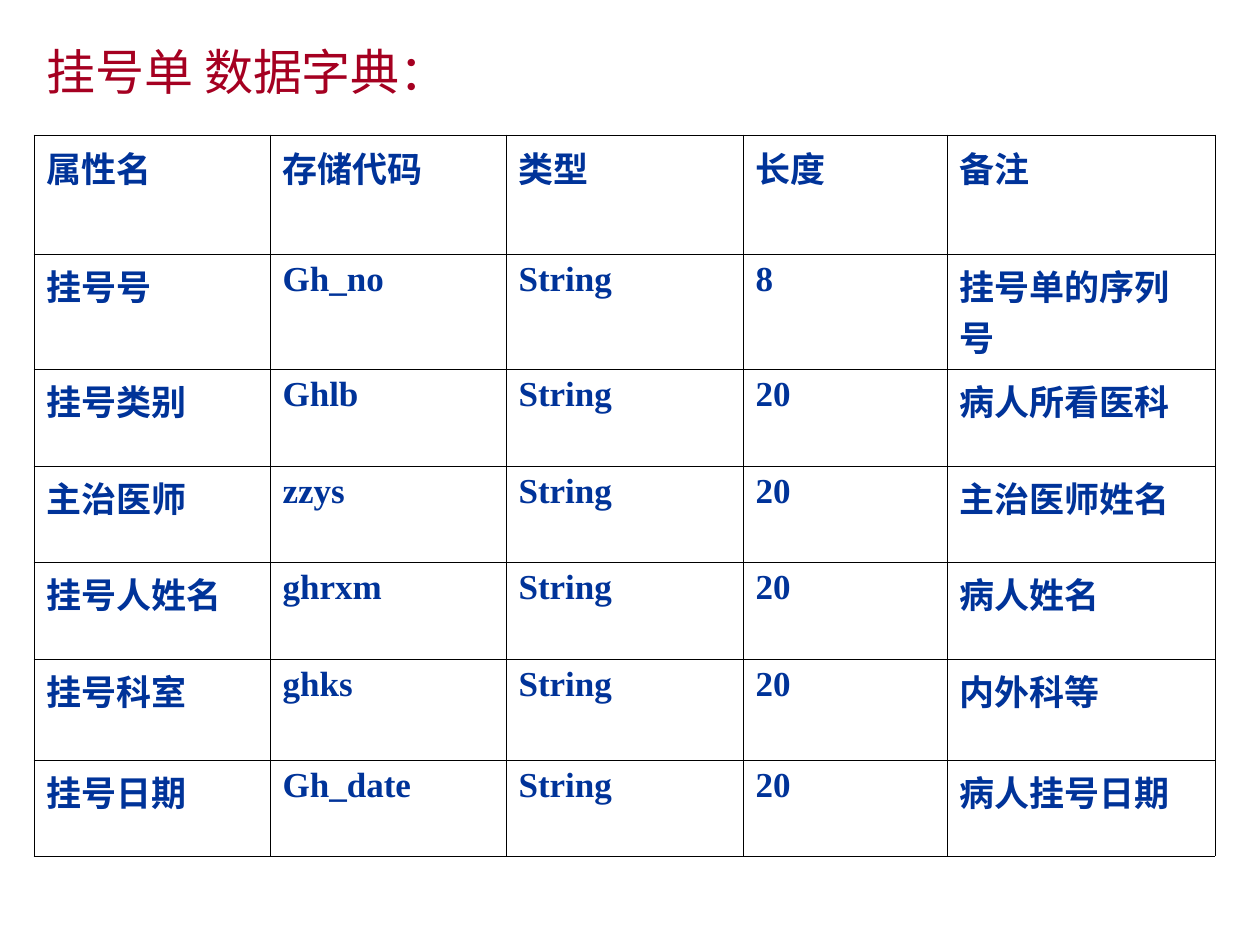
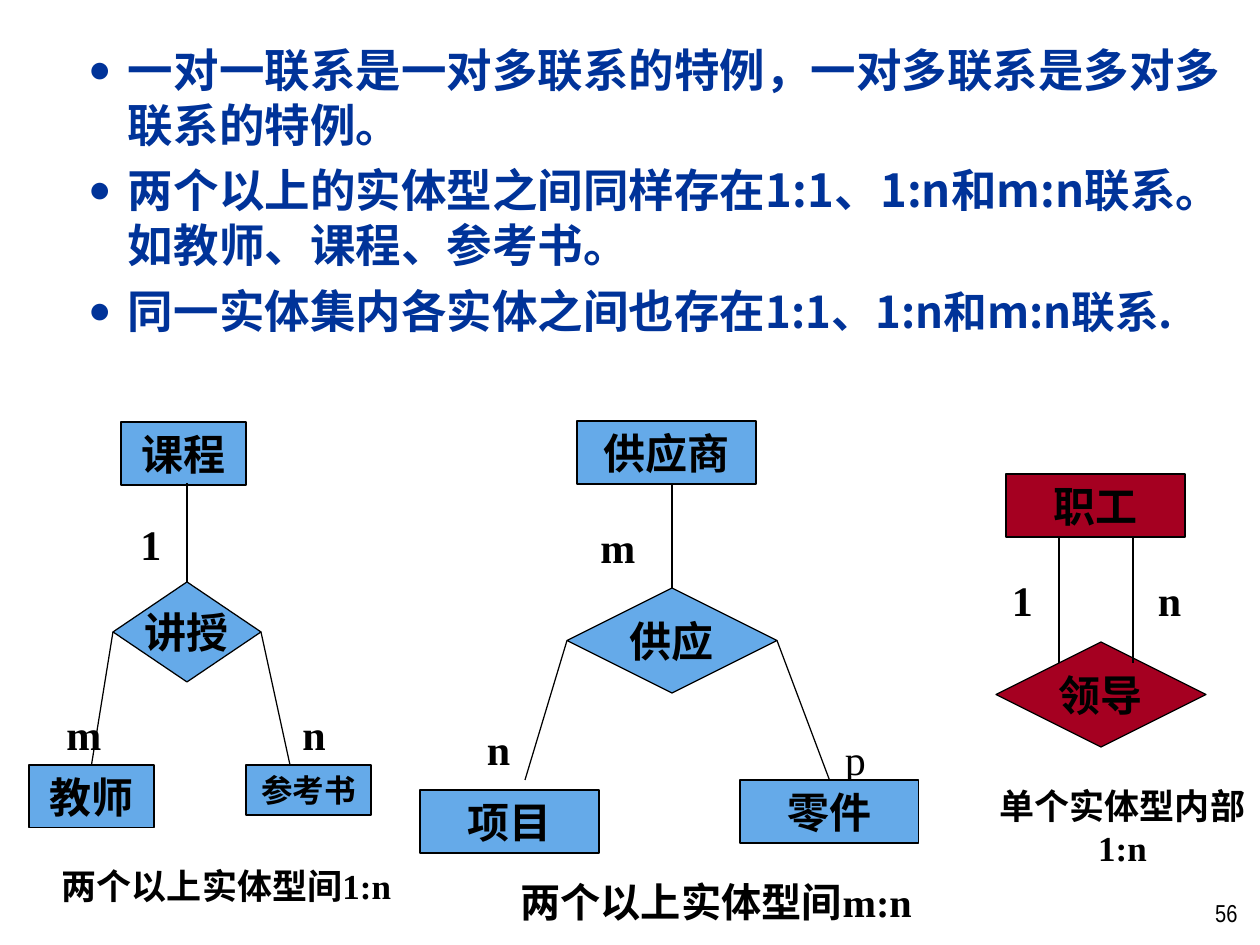
from lxml import etree
from pptx import Presentation
from pptx.dml.color import RGBColor
from pptx.enum.shapes import MSO_CONNECTOR, MSO_SHAPE
from pptx.enum.text import MSO_ANCHOR, PP_ALIGN
from pptx.oxml.ns import qn
from pptx.util import Emu, Pt

PX = 914400 / 126
BLUE, RED, SKY, BLACK = "003399", "A50021", "65AAE9", "000000"
SERIF, SANS, NARROW = "Times New Roman", "Noto Sans CJK SC", "Arial Narrow"
OUTLINE = Pt(0.7)
RECTANGLE, DIAMOND = MSO_SHAPE.RECTANGLE, MSO_SHAPE.DIAMOND
STRAIGHT = MSO_CONNECTOR.STRAIGHT
LEFT, CENTER, RIGHT = PP_ALIGN.LEFT, PP_ALIGN.CENTER, PP_ALIGN.RIGHT
TOP, MIDDLE = MSO_ANCHOR.TOP, MSO_ANCHOR.MIDDLE
SITE_TOP, SITE_LEFT, SITE_RIGHT = 0, 1, 3

TITLE = "挂号单 数据字典："
COLUMN_WIDTHS = [236, 236, 237, 204, 268]
ROW_HEIGHTS = [119, 115, 97, 96, 97, 101, 96]
DICTIONARY = [
    ("属性名", "存储代码", "类型", "长度", "备注"),
    ("挂号号", "Gh_no", "String", "8", "挂号单的序列号"),
    ("挂号类别", "Ghlb", "String", "20", "病人所看医科"),
    ("主治医师", "zzys", "String", "20", "主治医师姓名"),
    ("挂号人姓名", "ghrxm", "String", "20", "病人姓名"),
    ("挂号科室", "ghks", "String", "20", "内外科等"),
    ("挂号日期", "Gh_date", "String", "20", "病人挂号日期"),
]

# Each point is a list of (text, size) runs.
POINTS = [
    [("一对一联系是一对多联系的特例，一对多联系是多对多联系的特例。", 26)],
    [("两个以上的实体型之间同样存在1:1、1:n和m:n联系。如教师、课程、参考书。", 26)],
    [("同一实体集内各实体之间也存在", 26), ("1:1、1:n和m:n联系.", 25)],
]

# Boxes are (left, top, width, height).
# Lines are (start, end); each is a point or a (node, connection site) pair.
DIAGRAMS = [
    {
        "fill": SKY,
        "caption": ("两个以上实体型间1:n", (28, 858, 397, 55), 20),
        "labels": [("1", (128, 512, 37, 63)), ("m", (54, 702, 37, 63)),
                   ("n", (290, 702, 37, 63))],
        "entities": [("课程", (121, 422, 125, 63), 24), ("教师", (29, 765, 125, 63), 24),
                     ("参考书", (246, 765, 125, 50), 18)],
        "relation": ("讲授", (113, 582, 148, 100)),
        "lines": [(("讲授", SITE_TOP), (187, 483)),
                  (("讲授", SITE_LEFT), ("教师", SITE_TOP)),
                  (("讲授", SITE_RIGHT), (290, 765))],
    },
    {
        "fill": SKY,
        "caption": ("两个以上实体型间m:n", (428, 871, 576, 62), 23),
        "labels": [("m", (588, 515, 53, 63)), ("p", (829, 727, 53, 63)),
                   ("n", (472, 717, 53, 63))],
        "entities": [("供应商", (577, 421, 179, 63), 24), ("项目", (420, 790, 179, 63), 24),
                     ("零件", (740, 780, 179, 63), 24)],
        "relation": ("供应", (567, 588, 210, 105)),
        "lines": [(("供应", SITE_TOP), (672, 484)),
                  (("供应", SITE_LEFT), (525, 780)),
                  (("供应", SITE_RIGHT), ("零件", SITE_TOP))],
    },
    {
        "fill": RED,
        "caption": ("单个实体型内部1:n", (965, 778, 315, 97), 20),
        "labels": [("1", (996, 568, 53, 63)), ("n", (1143, 568, 53, 63))],
        "entities": [("职工", (1006, 474, 179, 63), 24)],
        "relation": ("领导", (996, 642, 210, 105)),
        "lines": [((1059, 663), (1059, 537)), ((1133, 537), (1133, 663))],
    },
]


def px(*lengths):
    return [Emu(round(length * PX)) for length in lengths]


def color(value):
    return RGBColor.from_string(value)


def add_xml(parent, tag, **attributes):
    return etree.SubElement(parent, qn(tag), attributes)


def style_run(run, size, ink, bold=True, font=SERIF):
    run.font.size = Pt(size)
    run.font.bold = bold
    run.font.name = font
    run.font.color.rgb = color(ink)
    add_xml(run._r.get_or_add_rPr(), "a:ea", typeface=SANS)


def write(frame, text, size, ink=BLACK, bold=True, align=LEFT, font=SERIF):
    frame.text = text
    paragraph = frame.paragraphs[0]
    paragraph.alignment = align
    style_run(paragraph.runs[0], size, ink, bold, font)


def add_text(slide, box, text, size, anchor=TOP, **style):
    frame = slide.shapes.add_textbox(*px(*box)).text_frame
    frame.word_wrap = True
    frame.vertical_anchor = anchor
    write(frame, text, size, **style)


def border_cell(cell):
    properties = cell._tc.get_or_add_tcPr()
    for position, side in enumerate(("a:lnL", "a:lnR", "a:lnT", "a:lnB")):
        line = etree.Element(qn(side), w=str(Pt(0.45)))
        add_xml(add_xml(line, "a:solidFill"), "a:srgbClr", val=BLACK)
        properties.insert(position, line)


def add_dictionary(slide):
    box = px(34, 135, sum(COLUMN_WIDTHS), sum(ROW_HEIGHTS))
    table = slide.shapes.add_table(len(DICTIONARY), len(COLUMN_WIDTHS), *box).table
    table.first_row = table.horz_banding = False
    for column, width in zip(table.columns, px(*COLUMN_WIDTHS)):
        column.width = width
    for row, height, texts in zip(table.rows, px(*ROW_HEIGHTS), DICTIONARY):
        row.height = height
        for cell, text in zip(row.cells, texts):
            cell.fill.background()
            border_cell(cell)
            write(cell.text_frame, text, 20, BLUE)


def add_points(slide):
    frame = slide.shapes.add_textbox(*px(0, 23, 1280, 380)).text_frame
    frame.word_wrap = True
    frame.margin_left, frame.margin_right, frame.margin_top = px(25, 25, 19)
    for index, runs in enumerate(POINTS):
        paragraph = frame.add_paragraph() if index else frame.paragraphs[0]
        properties = paragraph._p.get_or_add_pPr()
        indent, hanging = px(103, -40)
        properties.set("marL", str(indent))
        properties.set("indent", str(hanging))
        properties.set("hangingPunct", "0")
        add_xml(add_xml(properties, "a:buClr"), "a:srgbClr", val=BLUE)
        add_xml(properties, "a:buSzPct", val="85000")
        add_xml(properties, "a:buFont", typeface=SERIF)
        add_xml(properties, "a:buChar", char="●")
        if index:
            paragraph.space_before = Pt(6.5)
        for text, size in runs:
            run = paragraph.add_run()
            run.text = text
            style_run(run, size, BLUE, font=SANS)


def add_node(slide, kind, text, box, size, fill):
    shape = slide.shapes.add_shape(kind, *px(*box))
    shape.shadow.inherit = False
    shape.fill.solid()
    shape.fill.fore_color.rgb = color(fill)
    shape.line.color.rgb = color(BLACK)
    shape.line.width = OUTLINE
    frame = shape.text_frame
    frame.word_wrap = kind == RECTANGLE
    frame.vertical_anchor = TOP if kind == RECTANGLE else MIDDLE
    write(frame, text, size, align=CENTER)
    return shape


def add_line(slide, start, end, nodes):
    """Draw a line whose ends are points or (node, connection site) pairs."""
    points = [(0, 0) if point[0] in nodes else point for point in (start, end)]
    connector = slide.shapes.add_connector(STRAIGHT, *px(*points[0], *points[1]))
    connector.line.color.rgb = color(BLACK)
    connector.line.width = OUTLINE
    add_xml(connector._element.spPr, "a:effectLst")
    for point, connect in ((start, connector.begin_connect), (end, connector.end_connect)):
        if point[0] in nodes:
            connect(nodes[point[0]], point[1])


def add_diagram(slide, diagram):
    caption, box, size = diagram["caption"]
    add_text(slide, box, caption, size, align=CENTER)
    for label, box in diagram["labels"]:
        add_text(slide, box, label, 24, bold=label != "p", align=CENTER)
    nodes = {}
    for name, box, size in diagram["entities"]:
        nodes[name] = add_node(slide, RECTANGLE, name, box, size, diagram["fill"])
    name, box = diagram["relation"]
    nodes[name] = add_node(slide, DIAMOND, name, box, 24, diagram["fill"])
    for start, end in diagram["lines"]:
        add_line(slide, start, end, nodes)


def main():
    presentation = Presentation()
    presentation.slide_width, presentation.slide_height = px(1260, 945)
    blank = presentation.slide_layouts[6]

    slide = presentation.slides.add_slide(blank)
    add_text(slide, (34, 35, 466, 72), TITLE, 28, MIDDLE, ink=RED, bold=False)
    add_dictionary(slide)

    slide = presentation.slides.add_slide(blank)
    add_text(slide, (1197, 892, 53, 42), "56", 14, bold=False, align=RIGHT, font=NARROW)
    add_points(slide)
    for diagram in DIAGRAMS:
        add_diagram(slide, diagram)

    presentation.save("out.pptx")


if __name__ == "__main__":
    main()
